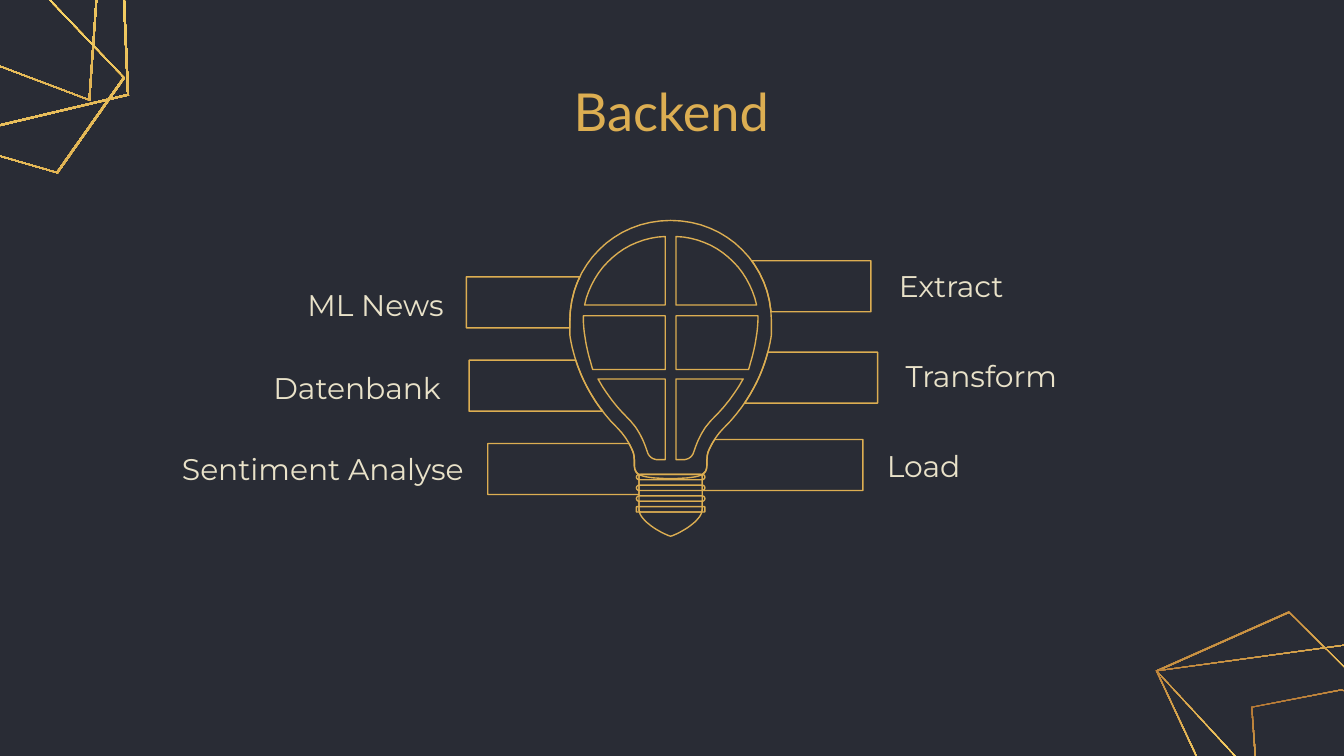
from lxml.etree import SubElement
from pptx import Presentation
from pptx.dml.color import RGBColor
from pptx.enum.shapes import MSO_SHAPE
from pptx.enum.text import MSO_ANCHOR, PP_ALIGN
from pptx.oxml.ns import qn
from pptx.util import Inches, Pt

COLORS = {
    "background": "292C35",
    "gold": "DCAE52",
    "bronze": "AF7132",
    "yellow": "FFDD6B",
    "label": "E9E2C9",
}
UNITS = 1000
BASE_HALF = 0.235
INSET = 0.1

TOP_LEFT_POLYGONS = [
    [(0.67, 0.75), (0.83, -1.51), (-1.96, -1.13), (-1.45, -0.05)],
    [(0.96, 0.71), (0.91, -0.47), (-0.74, -1.06), (-1.65, -0.92), (-1.62, -0.35), (-0.68, 1.1)],
    [(0.43, 1.29), (0.93, 0.58), (-0.77, -1.2), (-2.13, -0.64), (-0.71, 0.96)],
]
BOTTOM_RIGHT_POLYGONS = [
    [(2.67, 1.91), (2.61, 1.04), (1.38, 0.63), (0.71, 0.76), (0.74, 1.18), (1.46, 2.23)],
    [(1.92, 1.87), (2.28, 1.33), (0.99, 0.05), (0, 0.49), (1.07, 1.65)],
    [(1.92, 1.87), (2.04, 0.21), (0, 0.49), (0.37, 1.28)],
]

HALF_OUTLINE = [
    (0, 0),
    (0.42, 0, 0.75, 0.33, 0.75, 0.75),
    (0.75, 0.78, 0.75, 0.82, 0.75, 0.85),
    (0.73, 0.99, 0.66, 1.28, 0.4, 1.54),
    (0.35, 1.59, 0.31, 1.65, 0.28, 1.72),
    (0.27, 1.75, 0.27, 1.78, 0.27, 1.8),
    (0.27, 1.88, 0.27, 1.92, 0, 1.92),
]
PANES = [
    [(0.04, 0.63), (0.64, 0.63), (0.58, 0.35, 0.34, 0.13, 0.04, 0.12)],
    [(0.04, 1.11), (0.58, 1.11), (0.62, 0.98, 0.65, 0.85, 0.65, 0.71), (0.04, 0.71)],
    [(0.04, 1.18), (0.04, 1.78), (0.1, 1.78), (0.13, 1.78, 0.16, 1.76, 0.17, 1.73),
     (0.21, 1.61, 0.25, 1.54, 0.32, 1.47), (0.42, 1.37, 0.49, 1.27, 0.54, 1.18)],
]
HALF_TIP = [(BASE_HALF, 2.09), (BASE_HALF, 2.15), (BASE_HALF, 2.25, 0.02, 2.35, 0, 2.35)]

TOPICS = [
    ("ML News", 0.83, 2.03, 3.47, 2.06),
    ("Datenbank", 0.81, 2.65, 3.49, 2.68),
    ("Sentiment Analyse", 0.98, 3.25, 3.63, 3.3),
    ("Extract", 6.59, 1.89, 6.48, 1.94),
    ("Transform", 6.64, 2.56, 6.53, 2.62),
    ("Load", 6.5, 3.23, 6.42, 3.27),
]


def color(name):
    return RGBColor.from_string(COLORS[name])


def flatten(segments, steps=16):
    points = []
    for segment in segments:
        if len(segment) == 2:
            points.append(segment)
            continue
        x0, y0 = points[-1]
        x1, y1, x2, y2, x3, y3 = segment
        for step in range(1, steps + 1):
            t = step / steps
            a, b, c, d = (1 - t) ** 3, 3 * t * (1 - t) ** 2, 3 * t * t * (1 - t), t ** 3
            points.append((a * x0 + b * x1 + c * x2 + d * x3,
                           a * y0 + b * y1 + c * y2 + d * y3))
    return points


def mirror(points):
    return [(-x, y) for x, y in points]


def add_outline(slide, left, top, *contours):
    scaled = [[(x * UNITS, y * UNITS) for x, y in contour] for contour in contours]
    builder = slide.shapes.build_freeform(*scaled[0][0], scale=Inches(1) / UNITS)
    builder.add_line_segments(scaled[0][1:], close=True)
    for contour in scaled[1:]:
        builder.move_to(*contour[0])
        builder.add_line_segments(contour[1:], close=True)
    outline = builder.convert_to_shape(Inches(left), Inches(top))
    outline.shadow.inherit = False
    return outline


def gold_line(shape):
    shape.shadow.inherit = False
    shape.fill.background()
    shape.line.color.rgb = color("gold")
    shape.line.width = Pt(0.75)


def add_corner(slide, left, top, polygons):
    for polygon in polygons:
        center_x, center_y = (sum(values) / len(polygon) for values in zip(*polygon))
        inner = [(x + (center_x - x) * 0.01, y + (center_y - y) * 0.01) for x, y in polygon]
        ring = add_outline(slide, left, top, polygon, inner)
        ring.line.fill.background()
        ring.fill.gradient()
        ring.fill.gradient_angle = 295
        stops = ring.fill.gradient_stops
        for stop, name in zip(stops, ("bronze", "gold")):
            stop.color.rgb = color(name)
        stops[0].position, stops[1].position = 0, 1
        stop_list = ring.element.spPr.find(qn("a:gradFill")).find(qn("a:gsLst"))
        middle = SubElement(stop_list, qn("a:gs"), pos="50000")
        SubElement(middle, qn("a:srgbClr"), val=COLORS["yellow"])
        stop_list.insert(1, middle)


def format_text(frame, text, font_name, size, color_name, alignment):
    frame.word_wrap = True
    frame.margin_left = frame.margin_right = Inches(INSET)
    frame.margin_top = frame.margin_bottom = Inches(INSET)
    frame.text = text
    paragraph = frame.paragraphs[0]
    paragraph.alignment = alignment
    font = paragraph.runs[0].font
    font.name, font.size, font.bold = font_name, Pt(size), False
    font.color.rgb = color(color_name)


def add_title(slide, left, top, width, height):
    title = slide.shapes.title
    title.left, title.top = Inches(left), Inches(top)
    title.width, title.height = Inches(width), Inches(height)
    format_text(title.text_frame, "Backend", "Lato", 28, "gold", PP_ALIGN.CENTER)
    title.text_frame.vertical_anchor = MSO_ANCHOR.MIDDLE


def bulb_edge(y):
    points = flatten(HALF_OUTLINE)
    for (x0, y0), (x1, y1) in zip(points, points[1:]):
        if y0 <= y < y1:
            return max(BASE_HALF, x0 + (x1 - x0) * (y - y0) / (y1 - y0))
    return BASE_HALF


def add_topic(slide, center, bulb_top, topic):
    text, label_left, label_top, far, band_top = topic
    on_left = far < center
    label = slide.shapes.add_textbox(
        Inches(label_left), Inches(label_top), Inches(2.57), Inches(0.47))
    format_text(label.text_frame, text, "Montserrat", 16, "label",
                PP_ALIGN.RIGHT if on_left else PP_ALIGN.LEFT)

    height, steps = 0.38, 16
    start, reach = band_top - bulb_top, abs(far - center)
    levels = [start + height * step / steps for step in range(steps + 1)]
    band = [(bulb_edge(y), y) for y in levels] + [(reach, start + height), (reach, start)]
    gold_line(add_outline(slide, center, bulb_top, mirror(band) if on_left else band))


def add_base_part(slide, center, top, width, height, rounding):
    part = slide.shapes.add_shape(
        MSO_SHAPE.ROUNDED_RECTANGLE, Inches(center - width / 2), Inches(top),
        Inches(width), Inches(height))
    part.adjustments[0] = rounding
    gold_line(part)


def add_bulb(slide, center, top):
    for pane in PANES:
        points = flatten(pane)
        for side in (points, mirror(points)):
            gold_line(add_outline(slide, center, top, side))
    for half in (HALF_TIP, HALF_OUTLINE):
        points = flatten(half)
        gold_line(add_outline(slide, center, top, points + mirror(points)[::-1]))
    add_base_part(slide, center, top + 1.89, 2 * BASE_HALF, 0.28, 0.05)
    for thread in range(4):
        add_base_part(slide, center, top + 1.89 + 0.08 * thread, 0.51, 0.04,
                      0.5 if thread < 3 else 0.1)


def main():
    deck = Presentation()
    deck.slide_width = Inches(10)
    deck.slide_height = deck.slide_width * 9 // 16
    slide = deck.slides.add_slide(deck.slide_layouts[5])
    slide.background.fill.solid()
    slide.background.fill.fore_color.rgb = color("background")

    add_corner(slide, 0, 0, TOP_LEFT_POLYGONS)
    add_corner(slide, 8.6, 4.5, BOTTOM_RIGHT_POLYGONS)
    add_title(slide, 2.18, 0.59, 5.63, 0.47)
    center, bulb_top = 4.99, 1.64
    for topic in TOPICS:
        add_topic(slide, center, bulb_top, topic)
    add_bulb(slide, center, bulb_top)
    deck.save("out.pptx")


if __name__ == "__main__":
    main()
